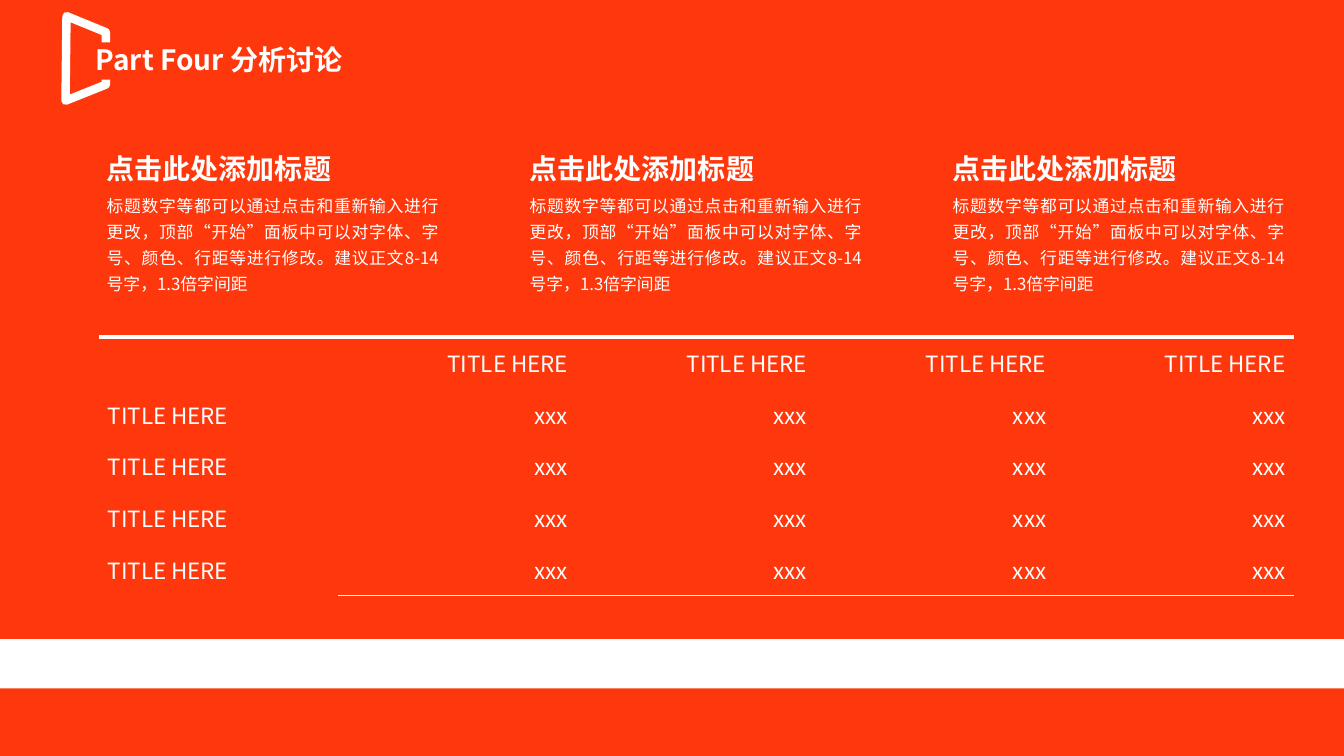
from dataclasses import dataclass

from lxml.etree import SubElement as Sub
from pptx import Presentation
from pptx.dml.color import RGBColor as RGB
from pptx.enum.shapes import MSO_SHAPE as Shape
from pptx.enum.text import MSO_ANCHOR as Anchor
from pptx.enum.text import MSO_AUTO_SIZE as Fit
from pptx.enum.text import PP_ALIGN as Align
from pptx.oxml import parse_xml
from pptx.oxml.ns import nsdecls, qn
from pptx.util import Inches, Pt


@dataclass(frozen=True)
class Theme:
    font: str = "Noto Sans CJK SC"
    red: RGB = RGB(0xFE, 0x38, 0x0C)
    white: RGB = RGB(0xFF, 0xFF, 0xFF)
    head: int = 20
    cell: int = 16
    body: int = 12


THEME = Theme()
PLAIN = "{2D5ABB26-0587-4C30-8999-92F81FD0307C}"  # table style without grid
HEAD = "点击此处添加标题"
BODY = ("标题数字等都可以通过点击和重新输入进行更改，顶部“开始”面板中可以对字体、"
        "字号、颜色、行距等进行修改。建议正文8-14号字，1.3倍字间距")
LABEL = "TITLE HERE"
ROWS = [[""] + [LABEL] * 4] + [[LABEL] + ["xxx"] * 4 for _ in range(4)]


def write(frame, text, size, bold=False, align=Align.LEFT, space=None):
    para = frame.paragraphs[0]
    para.alignment = align
    para.space_before = Pt(0)
    para.line_spacing = space
    run = para.add_run()
    run.text = text
    font = run.font
    font.size, font.bold, font.name = Pt(size), bold, THEME.font
    font.color.rgb = THEME.white
    Sub(font._element, qn("a:ea")).set("typeface", THEME.font)


def add_text(slide, text, left, top, width, height, wrap=True, **style):
    box = slide.shapes.add_textbox(
        Inches(left), Inches(top), Inches(width), Inches(height))
    box.text_frame.word_wrap = wrap
    write(box.text_frame, text, **style)


def add_frame(slide):
    """Open white outline behind the heading."""
    points = [(1.05, 0.32), (0.66, 0.16), (0.65, 1), (1.05, 0.84)]
    points = [(Inches(x), Inches(y)) for x, y in points]
    pen = slide.shapes.build_freeform(*points[0])
    pen.add_line_segments(points[1:], close=True)
    frame = pen.convert_to_shape()
    frame.shadow.inherit = False
    frame.fill.background()
    frame.line.color.rgb = THEME.white
    frame.line.width = Pt(6)
    Sub(frame.line._get_or_add_ln(), qn("a:round"))


def add_band(slide, width):
    band = slide.shapes.add_shape(
        Shape.RECTANGLE, 0, Inches(6.34), width, Inches(0.49))
    band.shadow.inherit = False
    band.fill.solid()
    band.fill.fore_color.rgb = THEME.white
    band.line.fill.background()


def set_title(slide, text):
    title = slide.shapes.title
    title.left, title.top = Inches(0.85), Inches(0.42)
    title.width, title.height = Inches(3.2), Inches(0.37)
    title.fill.solid()
    title.fill.fore_color.rgb = THEME.red
    frame = title.text_frame
    frame.auto_size = Fit.NONE
    frame.vertical_anchor = Anchor.MIDDLE
    write(frame, text, size=THEME.head, bold=True, space=0.9)
    # Bring the heading in front of the outline
    slide.shapes._spTree.append(title._element)


def set_edge(cell, side, width):
    edge = parse_xml(
        f'<a:{side} {nsdecls("a")} w="{Pt(width)}"><a:solidFill>'
        f'<a:srgbClr val="{THEME.white}"/></a:solidFill></a:{side}>')
    cell._tc.get_or_add_tcPr().insert(0, edge)


def add_grid(slide, rows):
    last = len(rows) - 1
    shape = slide.shapes.add_table(
        len(rows), len(rows[0]), Inches(0.98), Inches(3.34),
        Inches(11.86), Inches(2.57))
    table = shape.table
    table.first_row = table.horz_banding = False
    table._tbl.tblPr.find(qn("a:tableStyleId")).text = PLAIN
    for r, row in enumerate(rows):
        for c, text in enumerate(row):
            cell = table.cell(r, c)
            cell.vertical_anchor = Anchor.MIDDLE
            cell.margin_left = cell.margin_right = Inches(0.09)
            if r % 2:
                cell.fill.solid()
                cell.fill.fore_color.rgb = THEME.red
            else:
                cell.fill.background()
            if text:
                write(cell.text_frame, text, size=THEME.cell,
                      align=Align.RIGHT if c else Align.LEFT)
            if r == 0:
                set_edge(cell, "lnT", 3)
            elif r == last and c:
                set_edge(cell, "lnB", 1)


def main():
    deck = Presentation()
    deck.slide_width, deck.slide_height = Inches(13.33), Inches(7.5)
    slide = deck.slides.add_slide(deck.slide_layouts[5])
    slide.background.fill.solid()
    slide.background.fill.fore_color.rgb = THEME.red

    # Backdrop and heading
    add_frame(slide)
    add_band(slide, deck.slide_width)
    set_title(slide, "Part Four 分析讨论")

    # Table
    add_grid(slide, ROWS)

    # Three text columns
    for col in range(3):
        left = 0.96 + 4.195 * col
        add_text(slide, HEAD, left, 1.45, 2.45, 0.44, wrap=False,
                 size=THEME.head, bold=True)
        add_text(slide, BODY, left, 1.83, 3.49, 1.15,
                 size=THEME.body, align=Align.JUSTIFY, space=1.3)

    deck.save("out.pptx")


if __name__ == "__main__":
    main()
